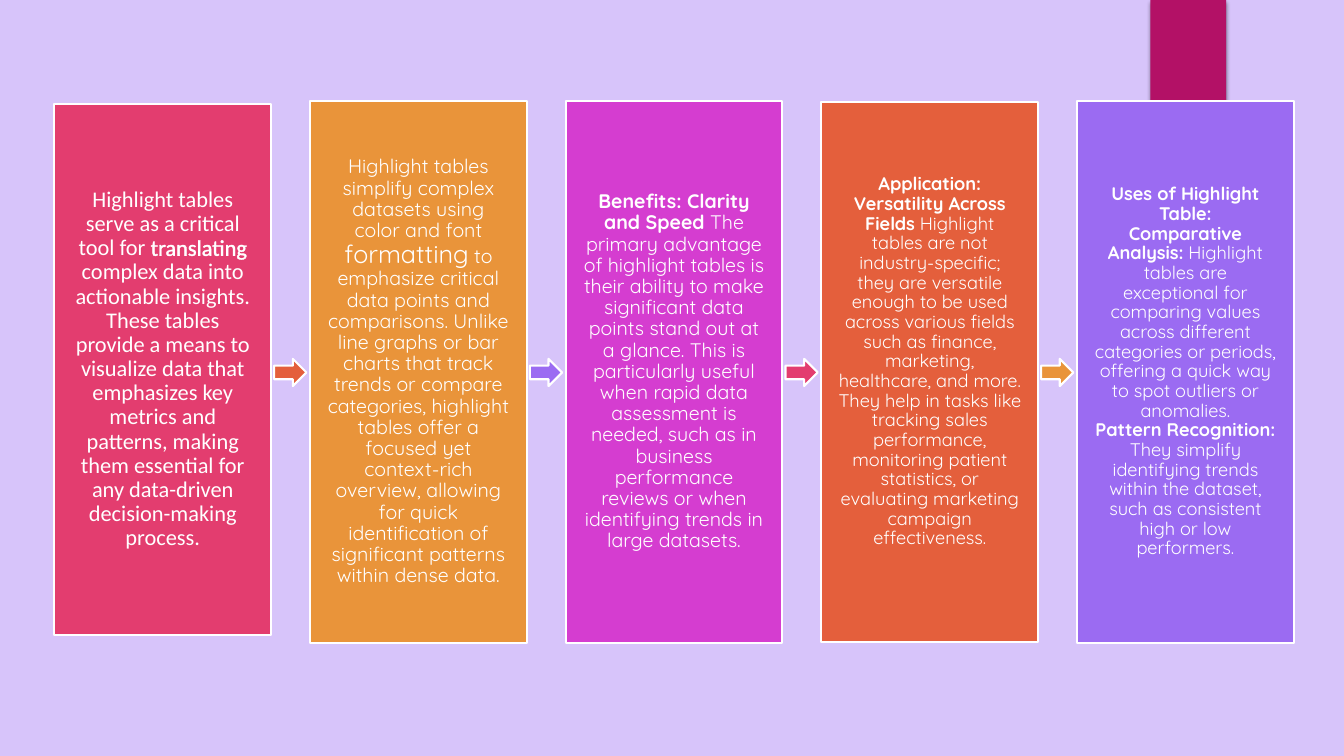
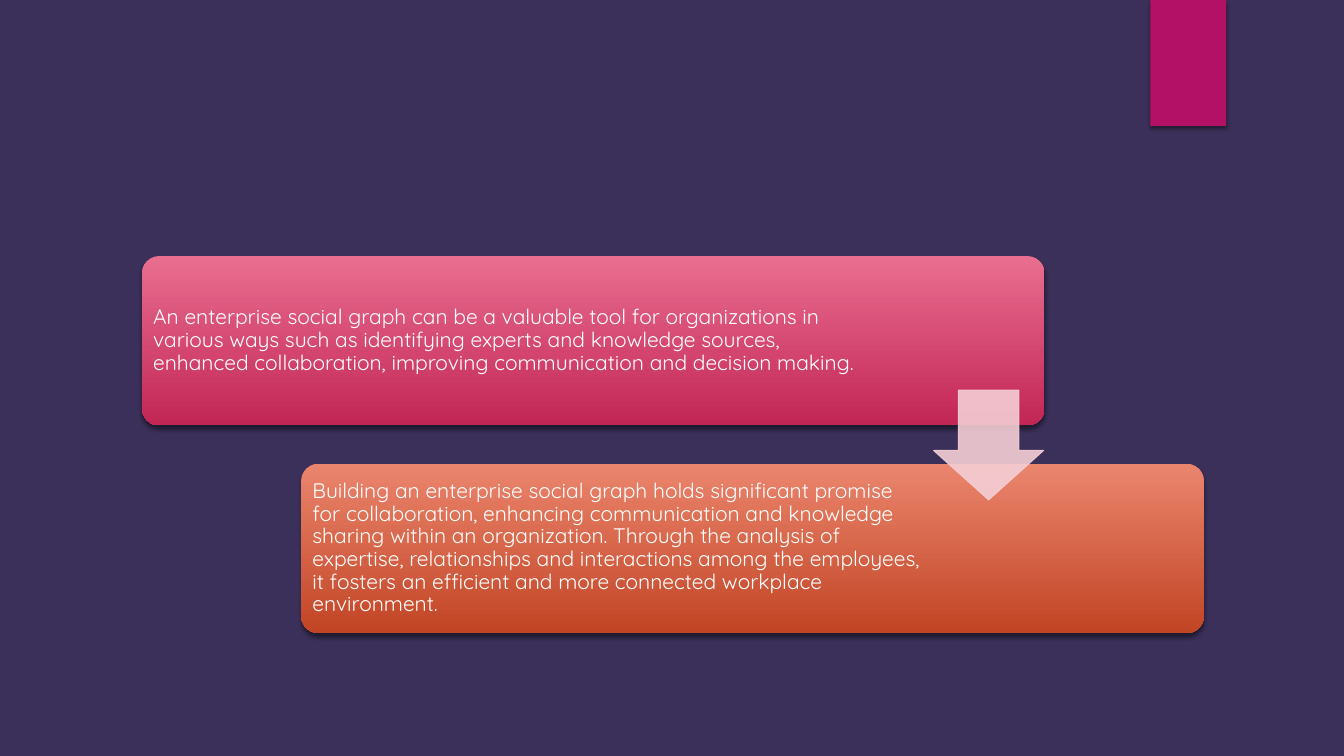
from dataclasses import dataclass

from lxml import etree
from pptx import Presentation
from pptx.dml.color import RGBColor
from pptx.enum.shapes import MSO_SHAPE
from pptx.enum.text import MSO_ANCHOR, PP_ALIGN
from pptx.oxml.ns import qn
from pptx.util import Emu, Inches, Pt

RECT = MSO_SHAPE.RECTANGLE
ROUND = MSO_SHAPE.ROUNDED_RECTANGLE
RIGHT = MSO_SHAPE.RIGHT_ARROW
DOWN = MSO_SHAPE.DOWN_ARROW
MIDDLE = MSO_ANCHOR.MIDDLE
CENTER, LEFT = PP_ALIGN.CENTER, PP_ALIGN.LEFT

WIDE, HIGH = Inches(13.33), Inches(7.5)


@dataclass(frozen=True)
class Theme:
    white: str = "FFFFFF"
    lilac: str = "D7C4FA"
    night: str = "3B3059"
    band: str = "B31166"
    rose: str = "E33D6F"
    amber: str = "E9943A"
    pink: str = "D53DD0"
    orange: str = "E45F3C"
    violet: str = "9B6BF2"
    blush: str = "F4CED5"
    font: str = "Quicksand"
    plain: str = "Calibri"
    small: int = 13
    body: int = 14
    panel: int = 15
    large: int = 16
    huge: int = 18
    edge: float = 1.5
    thin: float = 0.75
    lines: float = 0.9


THEME = Theme()


@dataclass(frozen=True)
class Box:
    """A place in percent of the slide's width and height."""
    left: float
    top: float
    width: float
    height: float


@dataclass(frozen=True)
class Part:
    """A run of text that differs from its neighbours."""
    text: str
    bold: bool = False
    size: int = 0
    ring: bool = False


@dataclass(frozen=True)
class Card:
    fill: str
    top: float
    height: float
    size: int
    paras: list[list[Part]]
    arrow: str = ""
    font: str = THEME.font
    foot: float = 0.17


@dataclass(frozen=True)
class Panel:
    light: str
    dark: str
    right: float
    text: str


BAND = Box(85.6, 0, 5.63, 16.67)
FIRST = Box(4.05, 13.33, 16.13, 71.73)
PITCH = 19.02
SMALL_ARROW = Box(20.4, 47.47, 2.4, 3.6)
PANEL = Box(10.58, 33.87, 67.14, 22.4)
STEP = (11.85, 27.47)
BIG_ARROW = Box(69.47, 51.6, 8.18, 14.53)

CARDS = [
    Card(THEME.rose, 13.73, 70.27, THEME.large, [[
        Part("Highlight tables serve as a critical tool for "),
        Part("translating", ring=True),
        Part(" complex data into actionable insights. These tables provide a "
             "means to visualize data that emphasizes key metrics and patterns, "
             "making them essential for any data-driven decision-making process."),
    ]], THEME.orange, THEME.plain),
    Card(THEME.amber, FIRST.top, FIRST.height, THEME.body, [[
        Part("Highlight tables simplify complex datasets using color and font "),
        Part("formatting", size=THEME.huge),
        Part(" to emphasize critical data points and comparisons. Unlike line "
             "graphs or bar charts that track trends or compare categories, "
             "highlight tables offer a focused yet context-rich overview, allowing "
             "for quick identification of significant patterns within dense data."),
    ]], THEME.violet),
    Card(THEME.pink, FIRST.top, FIRST.height, THEME.body, [[
        Part("Benefits: Clarity and Speed", True),
        Part(" The primary advantage of highlight tables is their ability to make "
             "significant data points stand out at a glance. This is particularly "
             "useful when rapid data assessment is needed, such as in business "
             "performance reviews or when identifying trends in large datasets."),
    ]], THEME.rose),
    Card(THEME.orange, 13.47, 71.47, THEME.small, [[
        Part("Application: Versatility Across Fields", True),
        Part(" Highlight tables are not industry-specific; they are versatile "
             "enough to be used across various fields such as finance, marketing, "
             "healthcare, and more. They help in tasks like tracking sales "
             "performance, monitoring patient statistics, or evaluating marketing "
             "campaign effectiveness."),
    ]], THEME.amber, foot=0.37),
    Card(THEME.violet, FIRST.top, FIRST.height, THEME.small, [
        [Part("Uses of Highlight Table:", True)],
        [Part("Comparative Analysis:", True),
         Part(" Highlight tables are exceptional for comparing values across "
              "different categories or periods, offering a quick way to spot "
              "outliers or anomalies.")],
        [Part("Pattern Recognition:", True),
         Part(" They simplify identifying trends within the dataset, such as "
              "consistent high or low performers.")],
    ]),
]

PANELS = [
    Panel("E96E90", "C22655", 1.7,
          "An enterprise social graph can be a valuable tool for organizations in "
          "various ways such as identifying experts and knowledge sources, enhanced "
          "collaboration, improving communication and decision making."),
    Panel("EA856D", "C24525", 2.74,
          "Building an enterprise social graph holds significant promise for "
          "collaboration, enhancing communication and knowledge sharing within an "
          "organization. Through the analysis of expertise, relationships and "
          "interactions among the employees, it fosters an efficient and more "
          "connected workplace environment."),
]


def tint(color: str) -> RGBColor:
    return RGBColor.from_string(color)


def add_shape(slide, kind, box: Box, fill: str = "", edge: str = "",
              width: float = THEME.edge):
    """Draw a flat shape; without an edge colour it has no line."""
    shape = slide.shapes.add_shape(
        kind, Emu(int(WIDE * box.left / 100)), Emu(int(HIGH * box.top / 100)),
        Emu(int(WIDE * box.width / 100)), Emu(int(HIGH * box.height / 100)))
    shape.shadow.inherit = False
    if fill:
        shape.fill.solid()
        shape.fill.fore_color.rgb = tint(fill)
    if edge:
        shape.line.color.rgb = tint(edge)
        shape.line.width = Pt(width)
    else:
        shape.line.fill.background()
    return shape


def add_shade(shape) -> None:
    """Give the shape a soft shadow straight below it."""
    effects = shape._element.spPr.find(qn("a:effectLst"))
    outer = etree.SubElement(effects, qn("a:outerShdw"), blurRad=str(Pt(3)),
                             dist=str(Pt(2)), dir="5400000", rotWithShape="0")
    color = etree.SubElement(outer, qn("a:srgbClr"), val="000000")
    etree.SubElement(color, qn("a:alpha"), val="45000")


def add_ring(run) -> None:
    """Outline the letters of a run."""
    line = etree.Element(qn("a:ln"), w=str(Pt(THEME.thin)))
    fill = etree.SubElement(line, qn("a:solidFill"))
    etree.SubElement(fill, qn("a:srgbClr"), val=THEME.white)
    run.font._element.insert(0, line)


def write(shape, paras: list[list[Part]], size: int, font: str, align,
          insets: tuple[float, float, float, float]) -> None:
    """Fill the shape with text; insets are left, top, right, bottom inches."""
    frame = shape.text_frame
    frame.word_wrap = True
    frame.vertical_anchor = MIDDLE
    (frame.margin_left, frame.margin_top,
     frame.margin_right, frame.margin_bottom) = map(Inches, insets)
    for index, parts in enumerate(paras):
        para = frame.add_paragraph() if index else frame.paragraphs[0]
        para.alignment = align
        para.line_spacing = THEME.lines
        for part in parts:
            run = para.add_run()
            run.text = part.text
            run.font.size = Pt(part.size or size)
            run.font.name = font
            run.font.bold = part.bold
            run.font.color.rgb = tint(THEME.white)
            if part.ring:
                add_ring(run)


def add_slide(deck, back: str):
    """Start a blank slide with its ground colour and the band on top."""
    slide = deck.slides.add_slide(deck.slide_layouts[6])
    slide.background.fill.solid()
    slide.background.fill.fore_color.rgb = tint(back)
    add_shade(add_shape(slide, RECT, BAND, THEME.band))
    return slide


def draw_cards(slide) -> None:
    for index, card in enumerate(CARDS):
        shift = index * PITCH
        box = Box(FIRST.left + shift, card.top, FIRST.width, card.height)
        shape = add_shape(slide, RECT, box, card.fill, THEME.white)
        write(shape, card.paras, card.size, card.font, CENTER,
              (0.17, 0.17, 0.17, card.foot))
        if card.arrow:
            place = Box(SMALL_ARROW.left + shift, SMALL_ARROW.top,
                        SMALL_ARROW.width, SMALL_ARROW.height)
            add_shape(slide, RIGHT, place, card.arrow, THEME.white)


def draw_panels(slide) -> None:
    for index, panel in enumerate(PANELS):
        box = Box(PANEL.left + index * STEP[0], PANEL.top + index * STEP[1],
                  PANEL.width, PANEL.height)
        shape = add_shape(slide, ROUND, box)
        shape.adjustments[0] = 0.1
        shape.fill.gradient()
        shape.fill.gradient_angle = 270
        for stop, color, spot in zip(shape.fill.gradient_stops,
                                     (panel.light, panel.dark), (0, 1)):
            stop.color.rgb = tint(color)
            stop.position = spot
        add_shade(shape)
        write(shape, [[Part(panel.text)]], THEME.panel, THEME.font, LEFT,
              (0.06, 0.06, panel.right, 0.06))
    arrow = add_shape(slide, DOWN, BIG_ARROW, THEME.blush, THEME.blush, THEME.thin)
    arrow.adjustments[0] = 0.55
    arrow.adjustments[1] = 0.45
    for color in arrow._element.spPr.iter(qn("a:srgbClr")):
        etree.SubElement(color, qn("a:alpha"), val="90000")


def main() -> None:
    deck = Presentation()
    deck.slide_width, deck.slide_height = WIDE, HIGH
    draw_cards(add_slide(deck, THEME.lilac))
    draw_panels(add_slide(deck, THEME.night))
    deck.save("out.pptx")


if __name__ == "__main__":
    main()
